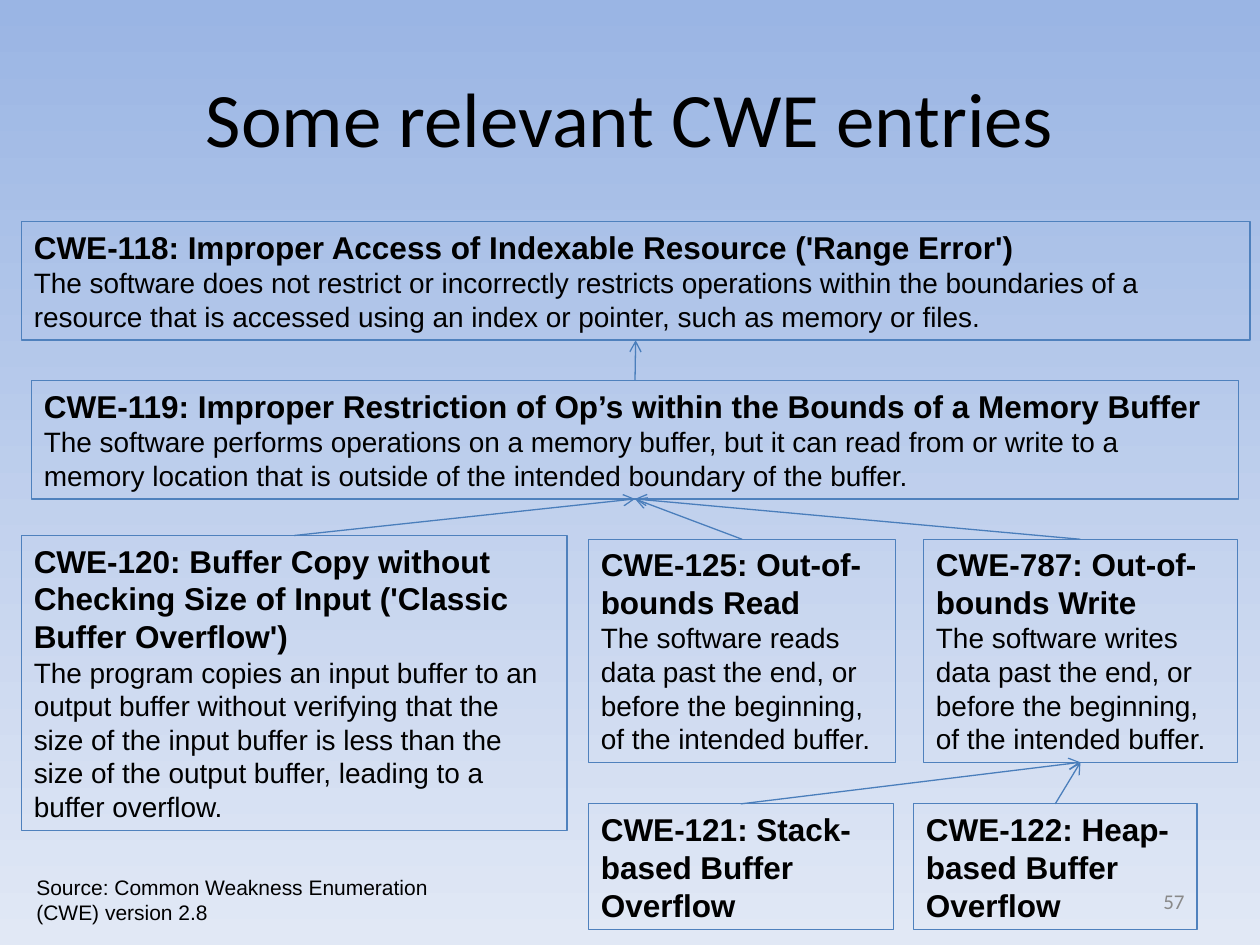
from dataclasses import dataclass

from lxml import etree
from pptx import Presentation
from pptx import util as u
from pptx.dml.color import RGBColor
from pptx.enum import shapes, text
from pptx.oxml.ns import qn


@dataclass(frozen=True)
class Theme:
    top: str = "9AB5E4"
    base: str = "E1E8F5"
    ink: str = "000000"
    gray: str = "898989"
    edge: str = "4F81BD"
    link: str = "4A7EBB"
    rule: float = 0.75
    title: int = 44
    head: int = 18
    body: int = 16
    note: int = 12
    sans: str = "Arial"
    face: str = "Calibri"


THEME = Theme()
TOP, BASE = 0, 2  # connection sites of a rectangle

# CWE number: (left, top, width, height) within the tree, name, summary
CARDS = {
    118: ((0, 0, 9.75, 0.94),
          "Improper Access of Indexable Resource ('Range Error')",
          "The software does not restrict or incorrectly restricts operations "
          "within the boundaries of a resource that is accessed using an index "
          "or pointer, such as memory or files."),
    119: ((0.08, 1.26, 9.58, 0.94),
          "Improper Restriction of Op’s within the Bounds of a Memory Buffer",
          "The software performs operations on a memory buffer, but it can read "
          "from or write to a memory location that is outside of the intended "
          "boundary of the buffer."),
    120: ((0, 2.49, 4.33, 2.34),
          "Buffer Copy without Checking Size of Input ('Classic Buffer Overflow')",
          "The program copies an input buffer to an output buffer without "
          "verifying that the size of the input buffer is less than the size of "
          "the output buffer, leading to a buffer overflow."),
    125: ((4.5, 2.52, 2.44, 1.77), "Out-of-bounds Read",
          "The software reads data past the end, or before the beginning, of "
          "the intended buffer."),
    787: ((7.16, 2.52, 2.49, 1.77), "Out-of-bounds Write",
          "The software writes data past the end, or before the beginning, of "
          "the intended buffer."),
    122: ((7.08, 4.62, 2.25, 1), "Heap-based Buffer Overflow", None),
    121: ((4.5, 4.62, 2.42, 1), "Stack-based Buffer Overflow", None),
}
# child: parent
LINKS = {120: 119, 125: 119, 787: 119, 119: 118, 121: 787, 122: 787}


def inch(box):
    return [u.Inches(n) for n in box]


def style(font, size, color=THEME.ink, **form):
    """Set size, colour and any other font values."""
    form = {"size": u.Pt(size), "name": THEME.sans, **form}
    for key, val in form.items():
        setattr(font, key, val)
    font.color.rgb = RGBColor.from_string(color)


def fit(frame, **form):
    """Set wrapping, margins and other values of a text frame."""
    form = {
        "word_wrap": True,
        "margin_left": u.Inches(0.1), "margin_right": u.Inches(0.1),
        "margin_top": u.Inches(0.05), "margin_bottom": u.Inches(0.05),
        "vertical_anchor": text.MSO_ANCHOR.TOP, **form,
    }
    for key, val in form.items():
        setattr(frame, key, val)


def stroke(line, color):
    line.color.rgb = RGBColor.from_string(color)
    line.width = u.Pt(THEME.rule)


def paint(slide):
    """Fill the background from top to base."""
    fill = slide.background.fill
    fill.gradient()
    fill.gradient_angle = 270
    for stop, color, spot in zip(fill.gradient_stops, (THEME.top, THEME.base), (0, 1)):
        stop.color.rgb = RGBColor.from_string(color)
        stop.position = spot


def head(slide, box, words):
    title = slide.shapes.title
    title.left, title.top, title.width, title.height = inch(box)
    title.text = words
    fit(title.text_frame, vertical_anchor=text.MSO_ANCHOR.MIDDLE)
    para = title.text_frame.paragraphs[0]
    para.alignment = text.PP_ALIGN.CENTER
    style(para.font, THEME.title, name=THEME.face)


def note(slide, box, words, align=text.PP_ALIGN.LEFT, form=None, **font):
    frame = slide.shapes.add_textbox(*inch(box)).text_frame
    fit(frame, **(form or {}))
    para = frame.paragraphs[0]
    para.text = words
    para.alignment = align
    style(para.font, THEME.note, **font)


def card(slide, box, name, body):
    """Draw one outlined entry and return it."""
    rect = slide.shapes.add_shape(shapes.MSO_SHAPE.RECTANGLE, *inch(box))
    rect.shadow.inherit = False
    rect.fill.background()
    stroke(rect.line, THEME.edge)
    frame = rect.text_frame
    fit(frame, auto_size=text.MSO_AUTO_SIZE.SHAPE_TO_FIT_TEXT)
    frame.text = f"{name}\n{body}" if body else name
    looks = ((THEME.head, True), (THEME.body, False))
    for para, (size, bold) in zip(frame.paragraphs, looks):
        para.alignment = text.PP_ALIGN.LEFT
        style(para.font, size, bold=bold)
    return rect


def arrow(slide, child, parent):
    line = slide.shapes.add_connector(shapes.MSO_CONNECTOR.STRAIGHT, 0, 0, 0, 0)
    line.begin_connect(child, TOP)
    line.end_connect(parent, BASE)
    stroke(line.line, THEME.link)
    tip = etree.SubElement(line.line._get_or_add_ln(), qn("a:tailEnd"))
    tip.set("type", "arrow")
    etree.SubElement(line._element.spPr, qn("a:effectLst"))


def tree(slide, left, top):
    """Place the entries from the given corner and join child to parent."""
    nodes = {}
    for num, ((x, y, wide, high), name, body) in CARDS.items():
        box = (left + x, top + y, wide, high)
        nodes[num] = card(slide, box, f"CWE-{num}: {name}", body)
    for child, parent in LINKS.items():
        arrow(slide, nodes[child], nodes[parent])


def main():
    deck = Presentation()
    deck.slide_width, deck.slide_height = inch((10, 7.5))
    slide = deck.slides.add_slide(deck.slide_layouts[5])
    paint(slide)
    head(slide, (0.5, 0.3, 9, 1.25), "Some relevant CWE entries")
    note(slide, (7.17, 6.95, 2.33, 0.4), "57", text.PP_ALIGN.RIGHT,
         {"vertical_anchor": text.MSO_ANCHOR.MIDDLE},
         color=THEME.gray, name=THEME.face)
    note(slide, (0.19, 6.89, 3.79, 0.5),
         "Source: Common Weakness Enumeration (CWE) version 2.8")
    tree(slide, 0.17, 1.76)
    deck.save("out.pptx")


if __name__ == "__main__":
    main()
